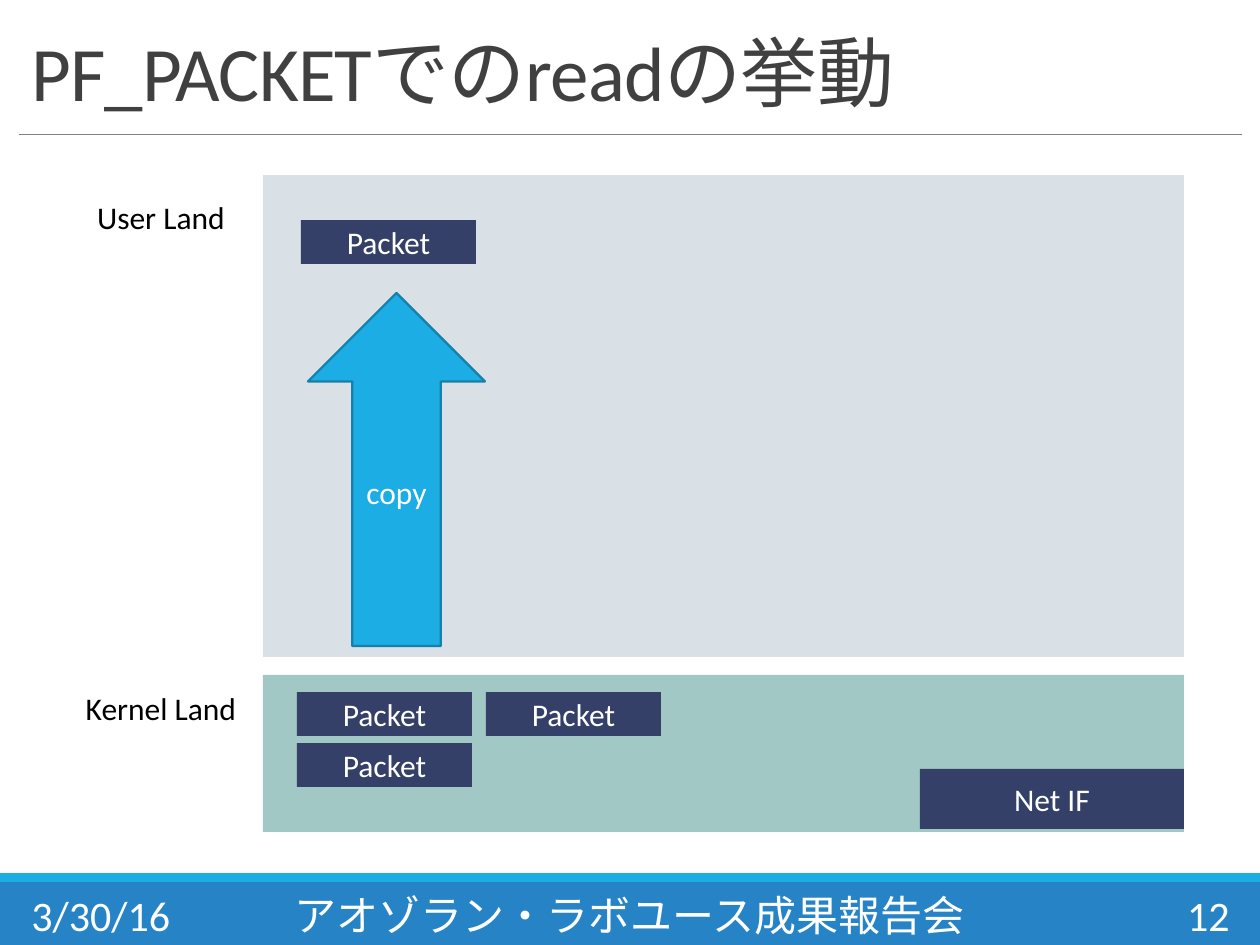
from pptx import Presentation
from pptx import util as u
from pptx.dml.color import RGBColor
from pptx.enum import shapes, text
from pptx.oxml.ns import qn
from lxml import etree

EMU_PER_PX = 914400 / 126
FONT = "Calibri"
WHITE = RGBColor(0xFF, 0xFF, 0xFF)
BLACK = RGBColor(0, 0, 0)
TITLE_GRAY = RGBColor(0x40, 0x40, 0x40)
RULE_GRAY = RGBColor(0x80, 0x80, 0x80)
FOOTER_BLUE = RGBColor(0x26, 0x83, 0xC6)
SKY = RGBColor(0x1C, 0xAD, 0xE4)
SKY_EDGE = RGBColor(0x15, 0x80, 0xA9)
USER_GRAY = RGBColor(0xD9, 0xE0, 0xE6)
KERNEL_GREEN = RGBColor(0xA1, 0xC8, 0xC5)
NAVY = RGBColor(0x34, 0x40, 0x68)

LEFT, CENTER, RIGHT = text.PP_ALIGN.LEFT, text.PP_ALIGN.CENTER, text.PP_ALIGN.RIGHT
RECT, UP_ARROW = shapes.MSO_SHAPE.RECTANGLE, shapes.MSO_SHAPE.UP_ARROW
PACKET_SIZE = (175, 44)
PACKET_SPOTS = [(301, 220), (486, 692), (297, 743), (297, 692)]


def px(*lengths):
    return [u.Emu(round(length * EMU_PER_PX)) for length in lengths]


def format_paragraph(para, size, color, align):
    para.alignment = align
    para.font.name = FONT
    para.font.size = u.Pt(size)
    para.font.color.rgb = color


def add_title(page, wording):
    title = page.shapes.title
    title.left, title.top, title.width, title.height = px(19, 18, 1223, 106)
    frame = title.text_frame
    frame.text = wording
    frame.auto_size = text.MSO_AUTO_SIZE.NONE
    frame.vertical_anchor = text.MSO_ANCHOR.BOTTOM
    para = frame.paragraphs[0]
    format_paragraph(para, 44, TITLE_GRAY, LEFT)
    para.line_spacing = 0.85
    para.runs[0].font._element.set("spc", "-50")


def add_rule(page, left, right, y):
    rule = page.shapes.add_connector(shapes.MSO_CONNECTOR.STRAIGHT, *px(left, y, right, y))
    rule.line.color.rgb = RULE_GRAY
    rule.line.width = u.Pt(0.5)
    etree.SubElement(rule._element.spPr, qn("a:effectLst"))


def add_block(page, bounds, fill, label="", kind=RECT, edge=None):
    """Add a filled shape, with a centred white label and an outline if given."""
    block = page.shapes.add_shape(kind, *px(*bounds))
    block.shadow.inherit = False
    block.fill.solid()
    block.fill.fore_color.rgb = fill
    if edge is None:
        block.line.fill.background()
    else:
        block.line.color.rgb = edge
        block.line.width = u.Pt(1.25)
    if label:
        block.text_frame.text = label
        block.text_frame.vertical_anchor = text.MSO_ANCHOR.MIDDLE
        format_paragraph(block.text_frame.paragraphs[0], 18, WHITE, CENTER)


def add_footer_text(page, left, width, wording, align):
    box = page.shapes.add_textbox(*px(left, 890, width, 50))
    frame = box.text_frame
    frame.word_wrap = True
    frame.vertical_anchor = text.MSO_ANCHOR.MIDDLE
    frame.text = wording
    format_paragraph(frame.paragraphs[0], 24, WHITE, align)


def add_land_labels(page):
    """Name both lands in one box, spaced so each name meets its area."""
    frame = page.shapes.add_textbox(*px(72, 192, 178, 547)).text_frame
    frame.word_wrap = False
    frame.text = "User Land\nKernel Land"
    for para in frame.paragraphs:
        format_paragraph(para, 18, BLACK, CENTER)
    frame.paragraphs[1].space_before = u.Pt(259)


def main():
    deck = Presentation()
    deck.slide_width, deck.slide_height = px(1260, 945)
    page = deck.slides.add_slide(deck.slide_layouts[5])

    add_block(page, (0, 882, 1260, 63), FOOTER_BLUE)
    add_block(page, (0, 873, 1260, 9), SKY)
    add_rule(page, 19, 1242, 134)
    add_title(page, "PF_PACKETでのreadの挙動")
    add_footer_text(page, 19, 171, "3/30/16", LEFT)
    add_footer_text(page, 210, 839, "アオゾラン・ラボユース成果報告会", CENTER)
    add_footer_text(page, 1066, 176, "12", RIGHT)

    add_block(page, (263, 675, 921, 157), KERNEL_GREEN)
    add_block(page, (263, 175, 921, 482), USER_GRAY)
    add_land_labels(page)
    add_block(page, (920, 769, 264, 60), NAVY, "Net IF")
    for spot in PACKET_SPOTS:
        add_block(page, spot + PACKET_SIZE, NAVY, "Packet")
    add_block(page, (308, 293, 177, 353), SKY, "copy", UP_ARROW, SKY_EDGE)

    deck.save("out.pptx")


if __name__ == "__main__":
    main()
